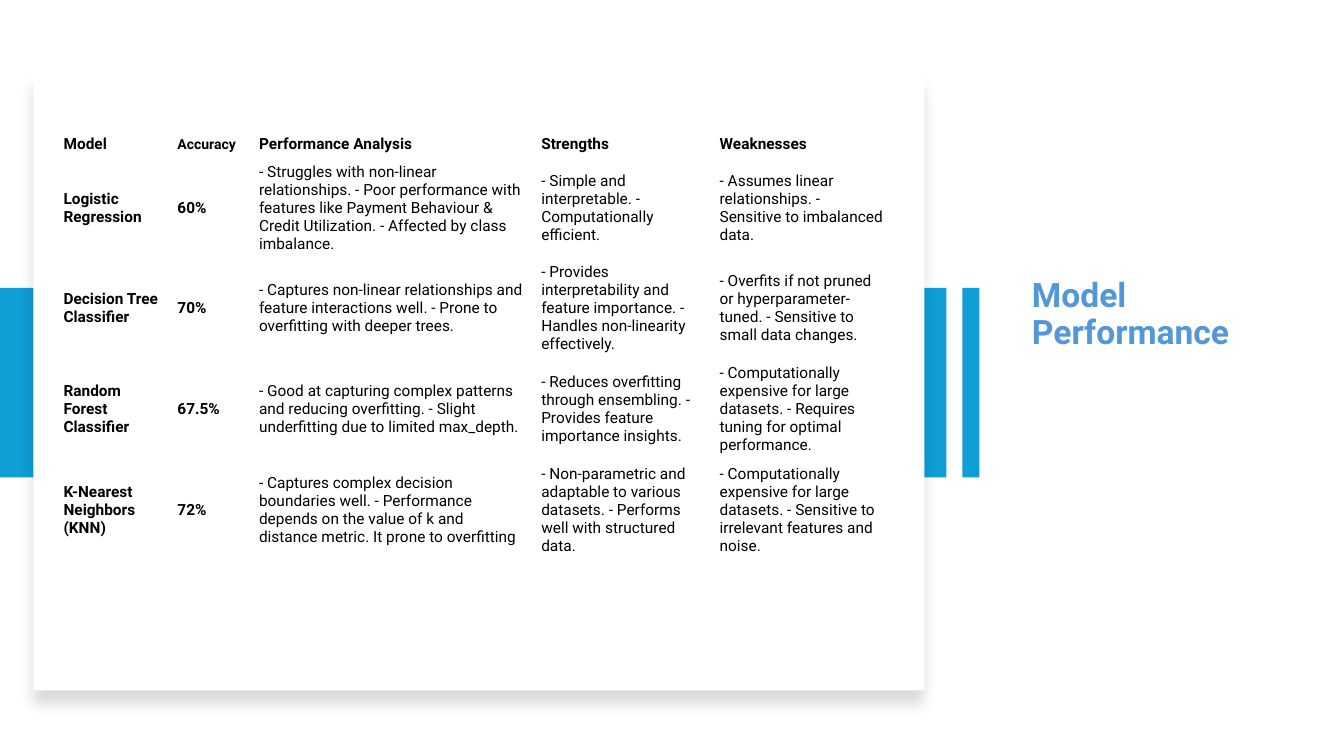
import lxml.etree
import pptx
import pptx.dml.color
import pptx.enum.shapes
import pptx.enum.text
import pptx.oxml.ns
import pptx.util

Pt = pptx.util.Pt
RGBColor = pptx.dml.color.RGBColor
MIDDLE = pptx.enum.text.MSO_ANCHOR.MIDDLE

BLACK = RGBColor(0x00, 0x00, 0x00)
WHITE = RGBColor(0xFF, 0xFF, 0xFF)
BAND_BLUE = RGBColor(0x0F, 0x9E, 0xD5)
TITLE_BLUE = RGBColor(0x51, 0x97, 0xDA)
FONT_NAME = "Roboto"

COLUMN_WIDTHS = (81.4, 58.3, 201.6, 127.4, 128.9)
HEADER_HEIGHT = 18.7
MODEL_HEIGHT = 70.2
BAND_TOP = 205.6
BAND_HEIGHT = 135.4

MODEL_ROWS = (
    ("Model", "Accuracy", "Performance Analysis", "Strengths", "Weaknesses"),
    (
        "Logistic Regression",
        "60%",
        "- Struggles with non-linear relationships. - Poor performance with features "
        "like Payment Behaviour & Credit Utilization. - Affected by class imbalance.",
        "- Simple and interpretable. - Computationally efficient.",
        "- Assumes linear relationships. - Sensitive to imbalanced data.",
    ),
    (
        "Decision Tree Classifier",
        "70%",
        "- Captures non-linear relationships and feature interactions well. "
        "- Prone to overfitting with deeper trees.",
        "- Provides interpretability and feature importance. "
        "- Handles non-linearity effectively.",
        "- Overfits if not pruned or hyperparameter-tuned. "
        "- Sensitive to small data changes.",
    ),
    (
        "Random Forest Classifier",
        "67.5%",
        "- Good at capturing complex patterns and reducing overfitting. "
        "- Slight underfitting due to limited max_depth.",
        "- Reduces overfitting through ensembling. "
        "- Provides feature importance insights.",
        "- Computationally expensive for large datasets. "
        "- Requires tuning for optimal performance.",
    ),
    (
        "K-Nearest Neighbors (KNN)",
        "72%",
        "- Captures complex decision boundaries well. - Performance depends on the "
        "value of k and distance metric. It prone to overfitting",
        "- Non-parametric and adaptable to various datasets. "
        "- Performs well with structured data.",
        "- Computationally expensive for large datasets. "
        "- Sensitive to irrelevant features and noise.",
    ),
)


def set_attributes(target, values):
    for name, value in values.items():
        setattr(target, name, value)


def write_text(paragraph, text, size, color, bold):
    run = paragraph.add_run()
    run.text = text
    set_attributes(run.font, {"name": FONT_NAME, "size": Pt(size), "bold": bold})
    run.font.color.rgb = color


def add_rectangle(slide, left, top, width, height, color):
    shape = slide.shapes.add_shape(
        pptx.enum.shapes.MSO_SHAPE.RECTANGLE, Pt(left), Pt(top), Pt(width), Pt(height)
    )
    shape.shadow.inherit = False
    shape.fill.solid()
    shape.fill.fore_color.rgb = color
    shape.line.fill.background()
    return shape


def add_soft_shadow(shape, blur, distance, opacity):
    qn = pptx.oxml.ns.qn
    effects = shape.element.spPr.find(qn("a:effectLst"))
    shadow = lxml.etree.SubElement(
        effects,
        qn("a:outerShdw"),
        {
            "blurRad": str(Pt(blur)),
            "dist": str(Pt(distance)),
            "dir": "5400000",
            "algn": "t",
            "rotWithShape": "0",
        },
    )
    color = lxml.etree.SubElement(shadow, qn("a:srgbClr"), {"val": str(BLACK)})
    lxml.etree.SubElement(color, qn("a:alpha"), {"val": str(opacity * 1000)})


def add_title(slide, text):
    box = slide.shapes.add_textbox(Pt(730.1), Pt(159), Pt(194.4), Pt(132))
    set_attributes(box.text_frame, {"word_wrap": True, "vertical_anchor": MIDDLE})
    paragraph = box.text_frame.paragraphs[0]
    paragraph.line_spacing = 0.9
    write_text(paragraph, text, 24, TITLE_BLUE, True)


def fill_cell(cell, text, size, bold):
    cell.fill.background()
    set_attributes(
        cell,
        {
            "vertical_anchor": MIDDLE,
            "margin_left": Pt(5.8),
            "margin_right": Pt(5.8),
            "margin_top": Pt(2.9),
            "margin_bottom": Pt(2.9),
        },
    )
    write_text(cell.text_frame.paragraphs[0], text, size, BLACK, bold)


def add_model_table(slide):
    height = HEADER_HEIGHT + MODEL_HEIGHT * (len(MODEL_ROWS) - 1)
    frame = slide.shapes.add_table(
        len(MODEL_ROWS), len(COLUMN_WIDTHS),
        Pt(39.6), Pt(93.6), Pt(sum(COLUMN_WIDTHS)), Pt(height),
    )
    table = frame.table
    set_attributes(table, {"first_row": False, "horz_banding": False})
    for column, width in zip(table.columns, COLUMN_WIDTHS):
        column.width = Pt(width)
    for row_index, texts in enumerate(MODEL_ROWS):
        is_header = row_index == 0
        table.rows[row_index].height = Pt(HEADER_HEIGHT if is_header else MODEL_HEIGHT)
        for column_index, text in enumerate(texts):
            size = 10 if text == "Accuracy" else 11
            bold = is_header or column_index < 2
            fill_cell(table.cell(row_index, column_index), text, size, bold)


def main():
    presentation = pptx.Presentation()
    set_attributes(presentation, {"slide_width": Pt(960), "slide_height": Pt(540)})
    slide = presentation.slides.add_slide(presentation.slide_layouts[6])
    add_title(slide, "Model Performance")
    add_rectangle(slide, 0, BAND_TOP, 676, BAND_HEIGHT, BAND_BLUE)
    card = add_rectangle(slide, 23.9, 52.6, 636.5, 440.6, WHITE)
    add_soft_shadow(card, 11, 10, 15)
    add_rectangle(slide, 687.5, BAND_TOP, 12.2, BAND_HEIGHT, BAND_BLUE)
    add_model_table(slide)
    presentation.save("out.pptx")


if __name__ == "__main__":
    main()
